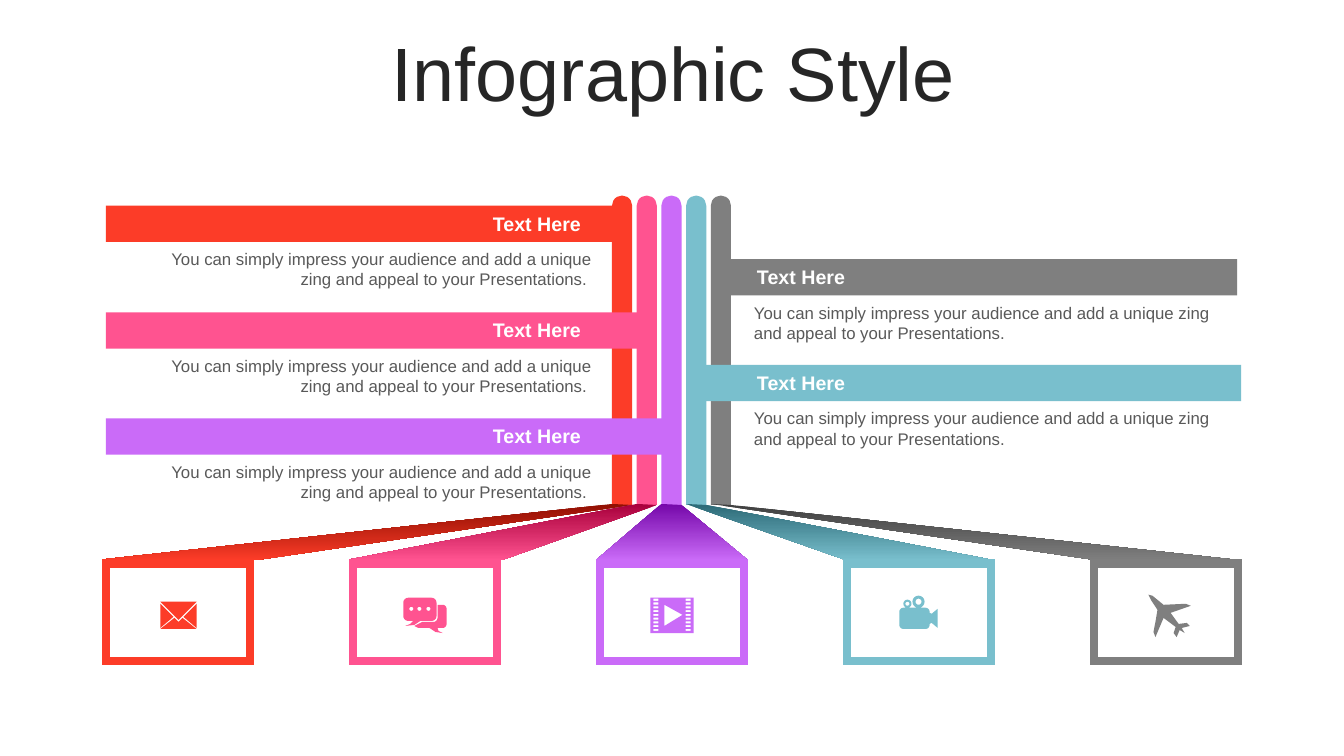
from dataclasses import dataclass
from math import cos, radians, sin

from lxml.etree import SubElement
from pptx import Presentation
from pptx.dml.color import RGBColor
from pptx.enum.shapes import MSO_SHAPE as Shape
from pptx.enum.text import MSO_ANCHOR as Anchor, PP_ALIGN as Align
from pptx.oxml.ns import qn
from pptx.util import Inches, Pt


@dataclass(frozen=True)
class Theme:
    font: str = "Arial"
    title_size: int = 54
    label_size: int = 14
    body_size: int = 12
    border: int = 6
    title: str = "262626"
    body: str = "595959"
    white: str = "FFFFFF"


@dataclass(frozen=True)
class Branch:
    color: str
    shade: str
    bar_left: float
    bar_top: float
    bar_width: float
    on_left: bool
    icon: list


def arc(x, y, radius, start=0, end=360, steps=24):
    """Points on a circle, in degrees clockwise from the right."""
    angles = [radians(start + (end - start) * step / steps) for step in range(steps + 1)]
    return [(x + radius * cos(angle), y + radius * sin(angle)) for angle in angles]


def rectangle(left, top, width, height):
    right, bottom = left + width, top + height
    return [(left, top), (right, top), (right, bottom), (left, bottom)]


def rounded(left, top, width, height, radius):
    right, bottom = left + width - radius, top + height - radius
    left, top = left + radius, top + radius
    return (arc(left, top, radius, 180, 270, 6) + arc(right, top, radius, 270, 360, 6)
            + arc(right, bottom, radius, 0, 90, 6) + arc(left, bottom, radius, 90, 180, 6))


# Each icon is a list of outlines; an outline inside another cuts a hole.
ENVELOPE = [
    [(1.81, 6.13), (1.95, 6.24), (1.59, 6.24), (1.73, 6.13), (1.77, 6.17)],
    [(1.95, 5.99), (1.95, 6.23), (1.82, 6.12)],
    [(1.59, 5.99), (1.72, 6.12), (1.59, 6.23)],
    [(1.59, 5.97), (1.95, 5.97), (1.77, 6.15)],
]
CHAT = [
    rounded(4, 5.93, 0.33, 0.23, 0.05),
    [(4.1, 6.16), (4.17, 6.16), (4.11, 6.2), (4.02, 6.21), (4.07, 6.19)],
    [(4.34, 6)] + arc(4.39, 6.04, 0.04, -90, 0, 6) + arc(4.39, 6.19, 0.04, 0, 90, 6)
    + [(4.34, 6.23), (4.35, 6.26), (4.39, 6.28), (4.32, 6.27), (4.26, 6.23),
       (4.15, 6.23), (4.11, 6.21), (4.19, 6.17), (4.3, 6.17)]
    + arc(4.3, 6.13, 0.04, 90, 0, 6),
] + [arc(x, 6.04, 0.02) for x in (4.08, 4.16, 4.25)]
FILM = [
    rectangle(6.45, 5.93, 0.43, 0.35),
    [(6.59, 6), (6.59, 6.21), (6.77, 6.1)],
] + [rectangle(x, 5.94 + row * 0.3 / 8, 0.05, 0.02) for row in range(9) for x in (6.48, 6.8)]
CAMERA = [
    rounded(8.92, 6.03, 0.3, 0.21, 0.04),
    arc(9.11, 5.97, 0.06), arc(9.11, 5.97, 0.03),
    arc(9, 5.99, 0.04), arc(9, 5.99, 0.02),
    [(9.22, 6.08), (9.24, 6.09), (9.3, 6.04), (9.3, 6.23), (9.24, 6.18), (9.22, 6.19)],
]
PLANE = [[
    (11.8, 6.21), (11.72, 6.23), (11.75, 6.28), (11.7, 6.25), (11.67, 6.32),
    (11.64, 6.28), (11.66, 6.22), (11.54, 6.13), (11.46, 6.32), (11.44, 6.27),
    (11.46, 6.17), (11.48, 6.05), (11.42, 5.96), (11.39, 5.9), (11.43, 5.91),
    (11.54, 6), (11.76, 5.99), (11.81, 6.01), (11.61, 6.08), (11.69, 6.19), (11.77, 6.18),
]]

BRANCHES = [
    Branch("FC3C28", "900F02", 1.05, 2.04, 5.21, True, ENVELOPE),
    Branch("FF5390", "A9003C", 1.05, 3.1, 5.44, True, CHAT),
    Branch("CA6BF8", "7508A9", 1.05, 4.15, 5.63, True, FILM),
    Branch("79BFCD", "2C6A77", 6.81, 3.62, 5.5, False, CAMERA),
    Branch("7F7F7F", "404040", 7.07, 2.57, 5.2, False, PLANE),
]
LABEL = "Text Here"
BODY = ("You can simply impress your audience and add a unique zing "
        "and appeal to your Presentations.")
STEM_LEFT, STEM_PITCH = 6.07, 0.98 / 4
BOX_LEFT, BOX_PITCH = 1.05, 2.45


class SlideBuilder:
    def __init__(self, slide, theme):
        self.slide = slide
        self.theme = theme

    def finish(self, shape, color):
        shape.shadow.inherit = False
        shape.fill.solid()
        shape.fill.fore_color.rgb = RGBColor.from_string(color)
        shape.line.fill.background()
        return shape

    def block(self, kind, left, top, width, height, color):
        shape = self.slide.shapes.add_shape(
            kind, Inches(left), Inches(top), Inches(width), Inches(height))
        return self.finish(shape, color)

    def stem(self, left, color):
        shape = self.block(Shape.ROUND_2_SAME_RECTANGLE, left, 1.94, 0.2, 3.07, color)
        shape.adjustments[0] = 0.5

    def box(self, left, color):
        shape = self.block(Shape.RECTANGLE, left, 5.59, 1.43, 0.97, self.theme.white)
        shape.line.color.rgb = RGBColor.from_string(color)
        shape.line.width = Pt(self.theme.border)
        outline = shape.element.spPr.find(qn("a:ln"))
        SubElement(outline, qn("a:miter")).set("lim", "800000")

    def outline(self, contours, color):
        contours = [[(Inches(x), Inches(y)) for x, y in contour] for contour in contours]
        builder = self.slide.shapes.build_freeform(*contours[0][0])
        for index, (start, *rest) in enumerate(contours):
            if index:
                builder.move_to(*start)
            builder.add_line_segments(rest, close=True)
        return self.finish(builder.convert_to_shape(), color)

    def flare(self, stem_left, box_left, branch):
        """Fan from the foot of a stem to the top of its box."""
        points = [(stem_left, 5), (box_left - 0.03, 5.55),
                  (box_left + 1.47, 5.56), (stem_left + 0.2, 5.01)]
        shape = self.outline([points], branch.color)
        shape.fill.gradient()
        shape.fill.gradient_angle = 270
        for stop, color in zip(shape.fill.gradient_stops, (branch.shade, branch.color)):
            stop.color.rgb = RGBColor.from_string(color)

    def text(self, text, left, top, width, height, size, color, align, bold=False):
        box = self.slide.shapes.add_textbox(
            Inches(left), Inches(top), Inches(width), Inches(height))
        frame = box.text_frame
        frame.word_wrap = True
        paragraph = frame.paragraphs[0]
        paragraph.text = text
        paragraph.alignment = align
        font = paragraph.font
        font.name, font.size, font.bold = self.theme.font, Pt(size), bold
        font.color.rgb = RGBColor.from_string(color)
        return frame

    def title(self, text):
        frame = self.text(text, 0.35, 0.37, 12.66, 0.79,
                          self.theme.title_size, self.theme.title, Align.CENTER)
        frame.vertical_anchor = Anchor.MIDDLE
        frame.paragraphs[0].line_spacing = 0.9

    def bar(self, branch):
        self.block(Shape.RECTANGLE, branch.bar_left, branch.bar_top,
                   branch.bar_width, 0.36, branch.color)
        self.text(LABEL, 4.6 if branch.on_left else 7.22, branch.bar_top + 0.01, 1.45, 0.34,
                  self.theme.label_size, self.theme.white, Align.CENTER, bold=True)

    def description(self, branch):
        if branch.on_left:
            text, left, width, align = BODY + " ", 1.26, 4.71, Align.RIGHT
        else:
            text, left, width, align = BODY, 7.38, 4.9, Align.LEFT
        self.text(text, left, branch.bar_top + 0.38, width, 0.5,
                  self.theme.body_size, self.theme.body, align)


def main():
    presentation = Presentation()
    presentation.slide_width, presentation.slide_height = Inches(13.33), Inches(7.5)
    slide = presentation.slides.add_slide(presentation.slide_layouts[6])
    builder = SlideBuilder(slide, Theme())
    builder.title("Infographic Style")
    for index, branch in enumerate(BRANCHES):
        builder.stem(STEM_LEFT + index * STEM_PITCH, branch.color)
    for index, branch in enumerate(BRANCHES):
        builder.flare(STEM_LEFT + index * STEM_PITCH, BOX_LEFT + index * BOX_PITCH, branch)
    for index, branch in enumerate(BRANCHES):
        builder.bar(branch)
        builder.description(branch)
        builder.box(BOX_LEFT + index * BOX_PITCH, branch.color)
        builder.outline(branch.icon, branch.color)
    presentation.save("out.pptx")


if __name__ == "__main__":
    main()
